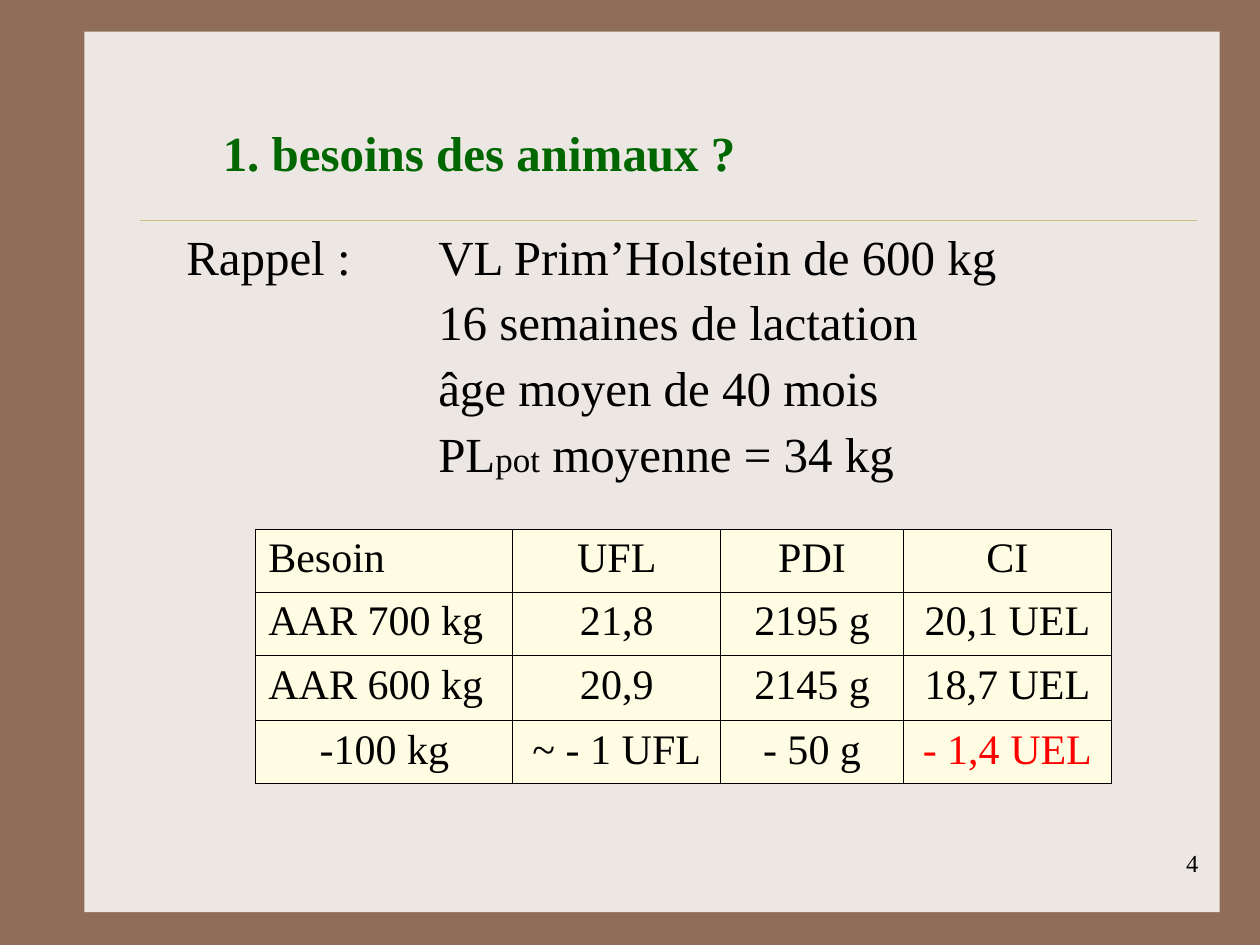
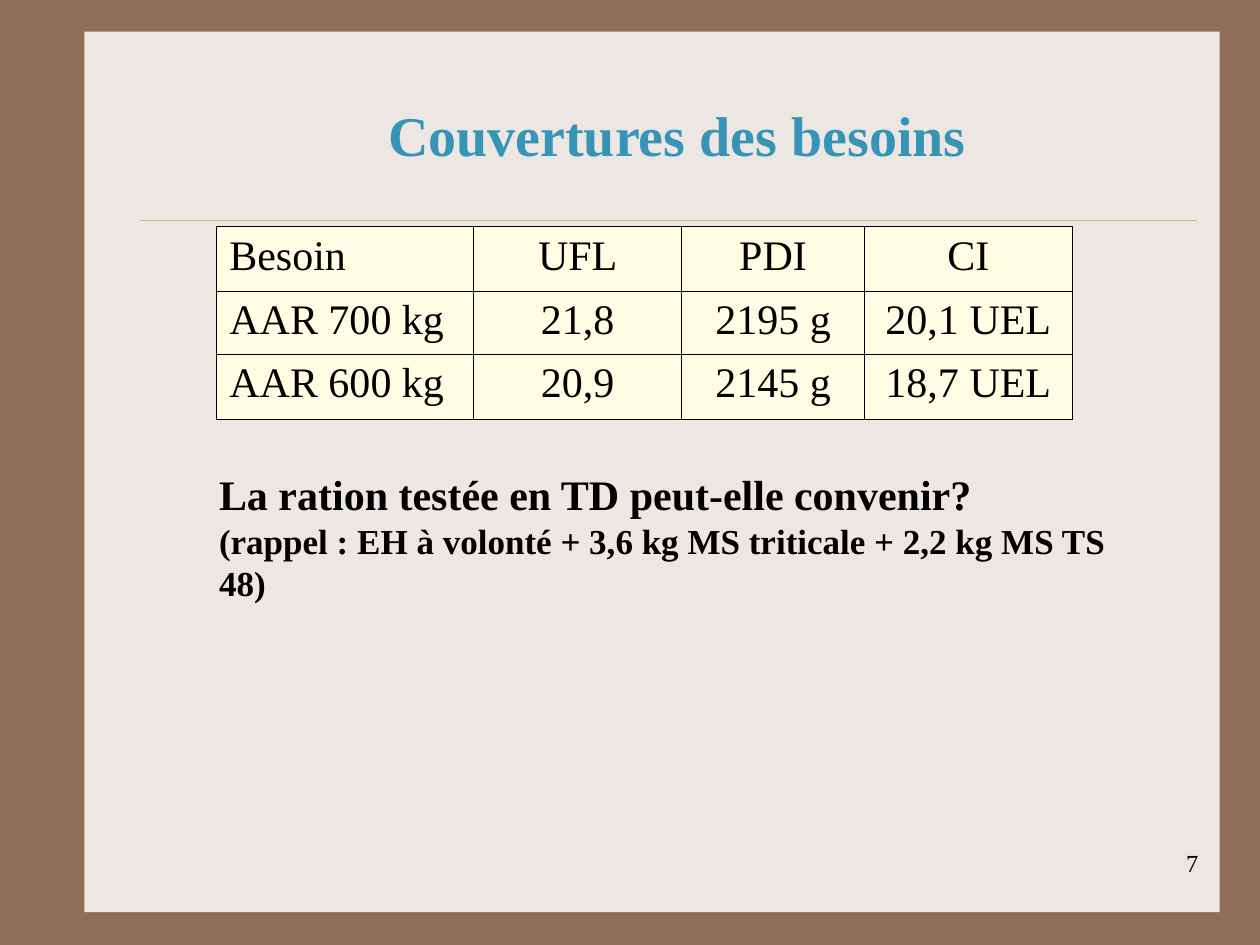
from dataclasses import dataclass

from lxml.etree import SubElement
from pptx import Presentation
from pptx.dml.color import RGBColor as RGB
from pptx.enum.shapes import MSO_CONNECTOR as Connector, MSO_SHAPE as Shape
from pptx.enum.text import PP_ALIGN as Align
from pptx.oxml.ns import qn
from pptx.util import Inches, Pt


@dataclass(frozen=True)
class Theme:
    font: str = "Times New Roman"
    frame: str = "906D58"
    page: str = "EDE7E3"
    rule: str = "CBBD83"
    ink: str = "000000"
    green: str = "006600"
    blue: str = "3694B6"
    alert: str = "FF0000"
    cell: str = "FEFDE3"
    rule_width: float = 0.25
    border_width: float = 0.45
    large: int = 32
    heading: int = 28
    table: int = 24
    small: int = 20
    number: int = 14


NEEDS = [
    ["Besoin", "UFL", "PDI", "CI"],
    ["AAR 700 kg", "21,8", "2195 g", "20,1 UEL"],
    ["AAR 600 kg", "20,9", "2145 g", "18,7 UEL"],
]
DIFFERENCE = ["-100 kg", "~ - 1 UFL", "- 50 g", "- 1,4 UEL"]
COLUMN_WIDTHS = [2.04, 1.65, 1.45, 1.65]


class Deck:
    """Holds the theme and the current slide, and draws each kind of element."""

    def __init__(self, theme):
        self.theme = theme
        self.prs = Presentation()
        self.prs.slide_width, self.prs.slide_height = Inches(10), Inches(7.5)

    def start_slide(self, number):
        theme = self.theme
        self.slide = self.prs.slides.add_slide(self.prs.slide_layouts[6])
        backdrop = self.slide.background.fill
        backdrop.solid()
        backdrop.fore_color.rgb = RGB.from_string(theme.frame)
        self.panel(0.67, 0.25, 9.01, 6.99)
        self.rule(1.11, 9.5, 1.75)
        self.text(7.53, 6.68, 2.08, 0.5, [[(number, theme.number)]], align=Align.RIGHT)

    def panel(self, left, top, width, height):
        page = self.slide.shapes.add_shape(
            Shape.RECTANGLE, Inches(left), Inches(top), Inches(width), Inches(height))
        page.shadow.inherit = False
        page.fill.solid()
        page.fill.fore_color.rgb = RGB.from_string(self.theme.page)
        page.line.fill.background()

    def rule(self, left, right, y):
        rule = self.slide.shapes.add_connector(
            Connector.STRAIGHT, Inches(left), Inches(y), Inches(right), Inches(y))
        rule.line.color.rgb = RGB.from_string(self.theme.rule)
        rule.line.width = Pt(self.theme.rule_width)
        SubElement(rule._element.spPr, qn("a:effectLst"))

    def style(self, run, size, color=None, bold=False):
        run.font.name = self.theme.font
        run.font.size = Pt(size)
        run.font.bold = bold
        run.font.color.rgb = RGB.from_string(color or self.theme.ink)

    def text(self, left, top, width, height, lines, color=None, bold=False,
             align=Align.LEFT, spacing=None, space_before=0, tab=None):
        box = self.slide.shapes.add_textbox(
            Inches(left), Inches(top), Inches(width), Inches(height))
        frame = box.text_frame
        frame.word_wrap = True
        for index, pieces in enumerate(lines):
            paragraph = frame.add_paragraph() if index else frame.paragraphs[0]
            paragraph.alignment = align
            if spacing:
                paragraph.line_spacing = spacing
            if index and space_before:
                paragraph.space_before = Pt(space_before)
            if tab:
                stops = SubElement(paragraph._p.get_or_add_pPr(), qn("a:tabLst"))
                SubElement(stops, qn("a:tab"), pos=str(Inches(tab)), algn="l")
            for content, size in pieces:
                run = paragraph.add_run()
                run.text = content
                self.style(run, size, color, bold)

    def title(self, left, top, width, height, content, size, color, align=Align.LEFT):
        self.text(left, top, width, height, [[(content, size)]], color, True, align)

    def borders(self, cell):
        properties = cell._tc.get_or_add_tcPr()
        for side in ("a:lnL", "a:lnR", "a:lnT", "a:lnB"):
            border = SubElement(properties, qn(side), w=str(Pt(self.theme.border_width)))
            fill = SubElement(border, qn("a:solidFill"))
            SubElement(fill, qn("a:srgbClr"), val=self.theme.ink)

    def table(self, left, top, rows, row_heights, alert=None):
        grid = self.slide.shapes.add_table(
            len(rows), len(COLUMN_WIDTHS), Inches(left), Inches(top),
            Inches(sum(COLUMN_WIDTHS)), Inches(sum(row_heights))).table
        grid.first_row = grid.horz_banding = False
        for column, width in zip(grid.columns, COLUMN_WIDTHS):
            column.width = Inches(width)
        for row, height, values in zip(grid.rows, row_heights, rows):
            row.height = Inches(height)
            for index, (cell, value) in enumerate(zip(row.cells, values)):
                self.borders(cell)
                cell.fill.solid()
                cell.fill.fore_color.rgb = RGB.from_string(self.theme.cell)
                cell.text_frame.text = value
                paragraph = cell.text_frame.paragraphs[0]
                is_label = index == 0 and values is not DIFFERENCE
                paragraph.alignment = Align.JUSTIFY if is_label else Align.CENTER
                color = self.theme.alert if value == alert else self.theme.ink
                self.style(paragraph.runs[0], self.theme.table, color)


def needs_slide(deck):
    theme = deck.theme
    deck.start_slide("4")
    deck.title(1.67, 0.92, 7.67, 0.57, "1. besoins des animaux ?",
               theme.heading, theme.green)
    deck.table(2.03, 4.2, NEEDS + [DIFFERENCE], [0.5, 0.5, 0.52, 0.5],
               alert=DIFFERENCE[-1])
    reminder = [
        [("Rappel :\tVL Prim’Holstein de 600 kg", theme.heading)],
        [("\t16 semaines de lactation", theme.heading)],
        [("\tâge moyen de 40 mois", theme.heading)],
        [("\tPL", theme.heading), ("pot", theme.small),
         (" moyenne = 34 kg", theme.heading)],
    ]
    deck.text(1.38, 1.91, 7.92, 1.95, reminder, spacing=0.6, space_before=17.5, tab=2)


def coverage_slide(deck):
    theme = deck.theme
    deck.start_slide("7")
    deck.title(1.25, 0.75, 8.25, 0.64, "Couvertures des besoins",
               theme.large, theme.blue, Align.CENTER)
    deck.table(1.72, 1.8, NEEDS, [0.51, 0.5, 0.52])
    question = [
        [("La ration testée en TD peut-elle convenir?", theme.table)],
        [("(rappel : EH à volonté + 3,6 kg MS triticale + 2,2 kg MS TS 48)", theme.small)],
    ]
    deck.text(1.64, 3.67, 7.67, 1.5, question, bold=True)


def main():
    deck = Deck(Theme())
    needs_slide(deck)
    coverage_slide(deck)
    deck.prs.save("out.pptx")


if __name__ == "__main__":
    main()
